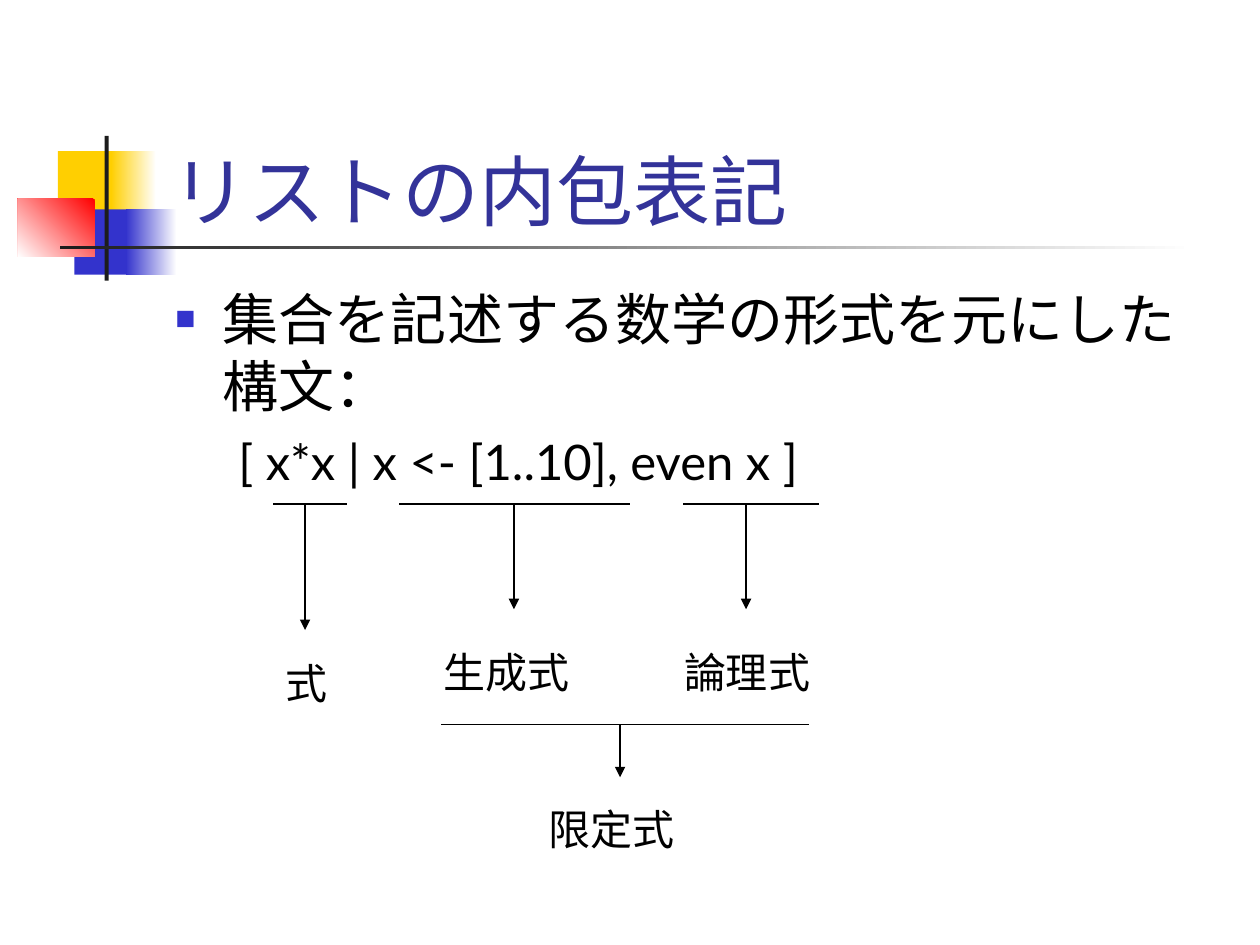
import pptx
import pptx.dml.color
import pptx.enum.shapes
import pptx.enum.text
import pptx.oxml
import pptx.oxml.ns
import pptx.util
from pptx.util import Cm

COLORS = {"title": "333399", "text": "000000", "yellow": "FFCF01", "blue": "3333CC",
          "red": "FF0000", "dark": "1C1C1C", "white": "FFFFFF"}


def write(paragraph, text, size, color="text", before=0, indent=0, hanging=0, bullet=None):
    """Fill a paragraph; indent and hanging are in centimetres."""
    run = paragraph.add_run()
    run.text = text
    run.font.size = pptx.util.Pt(size)
    run.font.name = "Lato"
    run.font.color.rgb = pptx.dml.color.RGBColor.from_string(COLORS[color])
    paragraph.alignment = pptx.enum.text.PP_ALIGN.LEFT
    paragraph.space_before = pptx.util.Pt(before)
    properties = paragraph._p.get_or_add_pPr()
    properties.set("marL", str(Cm(indent)))
    properties.set("indent", str(Cm(-hanging)))
    namespace = pptx.oxml.ns.nsdecls("a")
    marks = [f"<a:buNone {namespace}/>"]
    if bullet:
        marks = [f'<a:buClr {namespace}><a:srgbClr val="{COLORS["blue"]}"/></a:buClr>',
                 f'<a:buSzPct {namespace} val="60000"/>',
                 f'<a:buChar {namespace} char="{bullet}"/>']
    for mark in marks:
        properties.append(pptx.oxml.parse_xml(mark))


def draw_line(x1, y1, x2, y2, arrow=False):
    line = slide.shapes.add_connector(pptx.enum.shapes.MSO_CONNECTOR.STRAIGHT,
                                      Cm(x1), Cm(y1), Cm(x2), Cm(y2))
    line.line.width = pptx.util.Pt(0.75)
    line.line.color.rgb = pptx.dml.color.RGBColor.from_string(COLORS["text"])
    namespace = pptx.oxml.ns.nsdecls("a")
    if arrow:
        line.line._get_or_add_ln().append(
            pptx.oxml.parse_xml(f'<a:tailEnd {namespace} type="triangle"/>'))
    line._element.spPr.append(pptx.oxml.parse_xml(f"<a:effectLst {namespace}/>"))


presentation = pptx.Presentation()
presentation.slide_width, presentation.slide_height = Cm(25.4), Cm(19.05)
slide = presentation.slides.add_slide(presentation.slide_layouts[1])

# Corner ornament: left, top, width, height, colours from start to end, angle
ornament = [
    (1.17, 3.05, 1.22, 1.32, ["yellow"], None),
    (2.24, 3.05, 0.91, 1.32, ["white", "yellow"], 180),
    (1.5, 4.22, 1.17, 1.32, ["blue"], None),
    (2.54, 4.22, 1.02, 1.32, ["white", "blue"], 180),
    (0.36, 4.01, 1.55, 1.17, ["red", "white"], 225),
    (2.11, 2.74, 0.08, 2.92, ["dark"], None),
    (1.22, 4.95, 22.86, 0.08, ["white", "dark"], 180),
]
for left, top, width, height, tones, angle in ornament:
    block = slide.shapes.add_shape(pptx.enum.shapes.MSO_SHAPE.RECTANGLE,
                                   Cm(left), Cm(top), Cm(width), Cm(height))
    block.shadow.inherit = False
    block.line.fill.background()
    if angle is None:
        block.fill.solid()
        block.fill.fore_color.rgb = pptx.dml.color.RGBColor.from_string(COLORS[tones[0]])
    else:
        block.fill.gradient()
        block.fill.gradient_angle = angle
        for position, (stop, tone) in enumerate(zip(block.fill.gradient_stops, tones)):
            stop.color.rgb = pptx.dml.color.RGBColor.from_string(COLORS[tone])
            stop.position = position

# Title and body, in front of the ornament
title, body = slide.shapes.title, slide.placeholders[1]
for holder, box in [(title, (3.2, 1.7, 21.64, 3.18)), (body, (3.28, 5.61, 21.59, 11.43))]:
    holder.left, holder.top, holder.width, holder.height = map(Cm, box)
    holder.text_frame.auto_size = pptx.enum.text.MSO_AUTO_SIZE.NONE
    slide.shapes.element.append(holder.element)
title.text_frame.vertical_anchor = pptx.enum.text.MSO_ANCHOR.BOTTOM
write(title.text_frame.paragraphs[0], "リストの内包表記", 44, color="title")
write(body.text_frame.paragraphs[0], "集合を記述する数学の形式を元にした構文：", 32,
      before=8, indent=0.96, hanging=0.96, bullet="■")
code = body.text_frame.add_paragraph()
code.level = 1
write(code, "[ x*x | x <- [1..10], even x ]", 28, before=7, indent=2.06, hanging=0.79)

# Name, underline (left, right, y), arrow (x, end), label (left, top, width)
terms = [
    ("式", (5.51, 6.99, 10.16), (6.15, 12.7), (5.51, 13.13, 2.11)),
    ("生成式", (8.05, 12.7, 10.16), (10.36, 12.28), (8.69, 12.9, 3.81)),
    ("論理式", (13.77, 16.51, 10.16), (15.04, 12.28), (13.54, 12.9, 3.61)),
    ("限定式", (8.89, 16.31, 14.61), (12.5, 15.67), (10.8, 16.08, 4.01)),
]
for name, (start, end, y), (arrow_x, arrow_end), (left, top, width) in terms:
    draw_line(start, y, end, y)
    draw_line(arrow_x, y, arrow_x, arrow_end, arrow=True)
    label = slide.shapes.add_textbox(Cm(left), Cm(top), Cm(width), Cm(1.27))
    label.text_frame.word_wrap = True
    label.text_frame.auto_size = pptx.enum.text.MSO_AUTO_SIZE.SHAPE_TO_FIT_TEXT
    write(label.text_frame.paragraphs[0], name, 24, before=15)

presentation.save("out.pptx")
